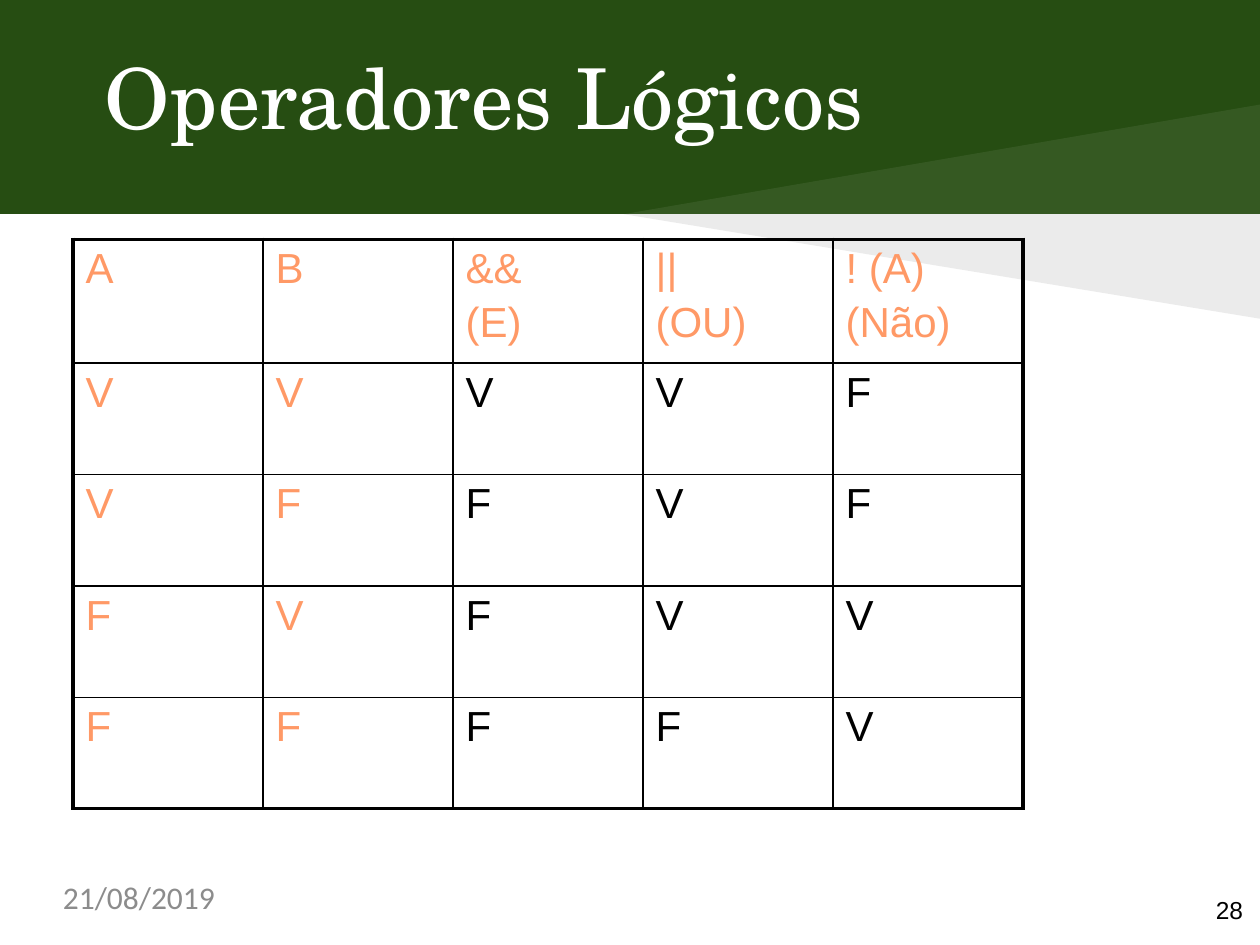
import dataclasses

import lxml.etree
import pptx
import pptx.dml.color
import pptx.enum.shapes
import pptx.oxml.ns
import pptx.util
from pptx.util import Inches

qn = pptx.oxml.ns.qn


@dataclasses.dataclass(frozen=True)
class Theme:
    green: str = "264D12"
    white: str = "FFFFFF"
    black: str = "000000"
    orange: str = "FF9966"
    grey: str = "8C8C8C"
    title_size: int = 48
    table_size: int = 24
    date_size: int = 18
    number_size: int = 14
    title_font: str = "TeX Gyre Schola"
    body_font: str = "Arial"
    date_font: str = "Calibri"


theme = Theme()


def write_text(frame, text, *, size, font, color, margins=(0, 0), before=0, wrap=True):
    frame.word_wrap = wrap
    frame.margin_left = frame.margin_right = Inches(margins[0])
    frame.margin_top = frame.margin_bottom = Inches(margins[1])
    for index, line in enumerate(text.split("\n")):
        paragraph = frame.add_paragraph() if index else frame.paragraphs[0]
        paragraph.space_before = pptx.util.Pt(before)
        run = paragraph.add_run()
        run.text = line
        run.font.size = pptx.util.Pt(size)
        run.font.name = font
        run.font.color.rgb = pptx.dml.color.RGBColor.from_string(color)


def paint(shape, color, opacity=100):
    shape.shadow.inherit = False
    shape.line.fill.background()
    shape.fill.solid()
    shape.fill.fore_color.rgb = pptx.dml.color.RGBColor.from_string(color)
    if opacity < 100:
        tint = shape.fill._xPr.find(qn("a:solidFill"))[0]
        lxml.etree.SubElement(tint, qn("a:alpha"), val=str(opacity * 1000))


deck = pptx.Presentation()
deck.slide_width, deck.slide_height = Inches(10), Inches(7.5)
slide = deck.slides.add_slide(deck.slide_layouts[6])
shapes = slide.shapes

# Background: title band, page and the two rays that meet at the band's edge
band_height = 1.7
for top, height, color in [(0, band_height, theme.green),
                           (band_height, 7.5 - band_height, theme.white)]:
    panel = shapes.add_shape(pptx.enum.shapes.MSO_SHAPE.RECTANGLE,
                             0, Inches(top), Inches(10), Inches(height))
    paint(panel, color)

for tip, color, opacity in [(0.83, theme.white, 7), (2.53, theme.black, 8)]:
    outline = shapes.build_freeform(Inches(10), Inches(band_height))
    outline.add_line_segments([(Inches(4.95), Inches(band_height)),
                               (Inches(10), Inches(tip))], close=True)
    paint(outline.convert_to_shape(), color, opacity)

# Title
title = shapes.add_textbox(Inches(0.83), Inches(0.36), Inches(8.17), Inches(0.83))
write_text(title.text_frame, "Operadores Lógicos", size=theme.title_size,
           font=theme.title_font, color=theme.white)

# Truth table: the heading row and the two operand columns are orange
truth_rows = [
    ["A", "B", "&&\n(E)", "||\n(OU)", "! (A)\n(Não)"],
    ["V", "V", "V", "V", "F"],
    ["V", "F", "F", "V", "F"],
    ["F", "V", "F", "V", "V"],
    ["F", "F", "F", "F", "V"],
]
last = len(truth_rows) - 1
truth_table = shapes.add_table(5, 5, Inches(0.58), Inches(1.9),
                               Inches(7.54), Inches(4.52)).table
truth_table.first_row = truth_table.horz_banding = False
for column in truth_table.columns:
    column.width = Inches(7.54 / 5)

for r, values in enumerate(truth_rows):
    truth_table.rows[r].height = Inches(0.98 if r == 0 else (4.52 - 0.98) / 4)
    for c, value in enumerate(values):
        cell = truth_table.cell(r, c)
        cell.fill.background()
        write_text(cell.text_frame, value, size=theme.table_size, font=theme.body_font,
                   color=theme.orange if r == 0 or c < 2 else theme.black,
                   margins=(0.11, 0.05), before=4)
        # Thick frame on the outer sides, thin rules inside
        properties = cell._tc.get_or_add_tcPr()
        outer_sides = {"L": c == 0, "R": c == last, "T": r == 0, "B": r == last}
        for position, (side, outer) in enumerate(outer_sides.items()):
            border = lxml.etree.Element(qn(f"a:ln{side}"),
                                        w=str(pptx.util.Pt(2.25 if outer else 1)))
            ink = lxml.etree.SubElement(border, qn("a:solidFill"))
            lxml.etree.SubElement(ink, qn("a:srgbClr"), val=theme.black)
            properties.insert(position, border)

# Footer: date and slide number
date = shapes.add_textbox(Inches(0.5), Inches(6.97), Inches(2.3), Inches(0.38))
write_text(date.text_frame, "21/08/2019", size=theme.date_size,
           font=theme.date_font, color=theme.grey)
number = shapes.add_textbox(Inches(9.65), Inches(7.1), Inches(0.24), Inches(0.23))
write_text(number.text_frame, "28", size=theme.number_size,
           font=theme.body_font, color=theme.black)

deck.save("out.pptx")
